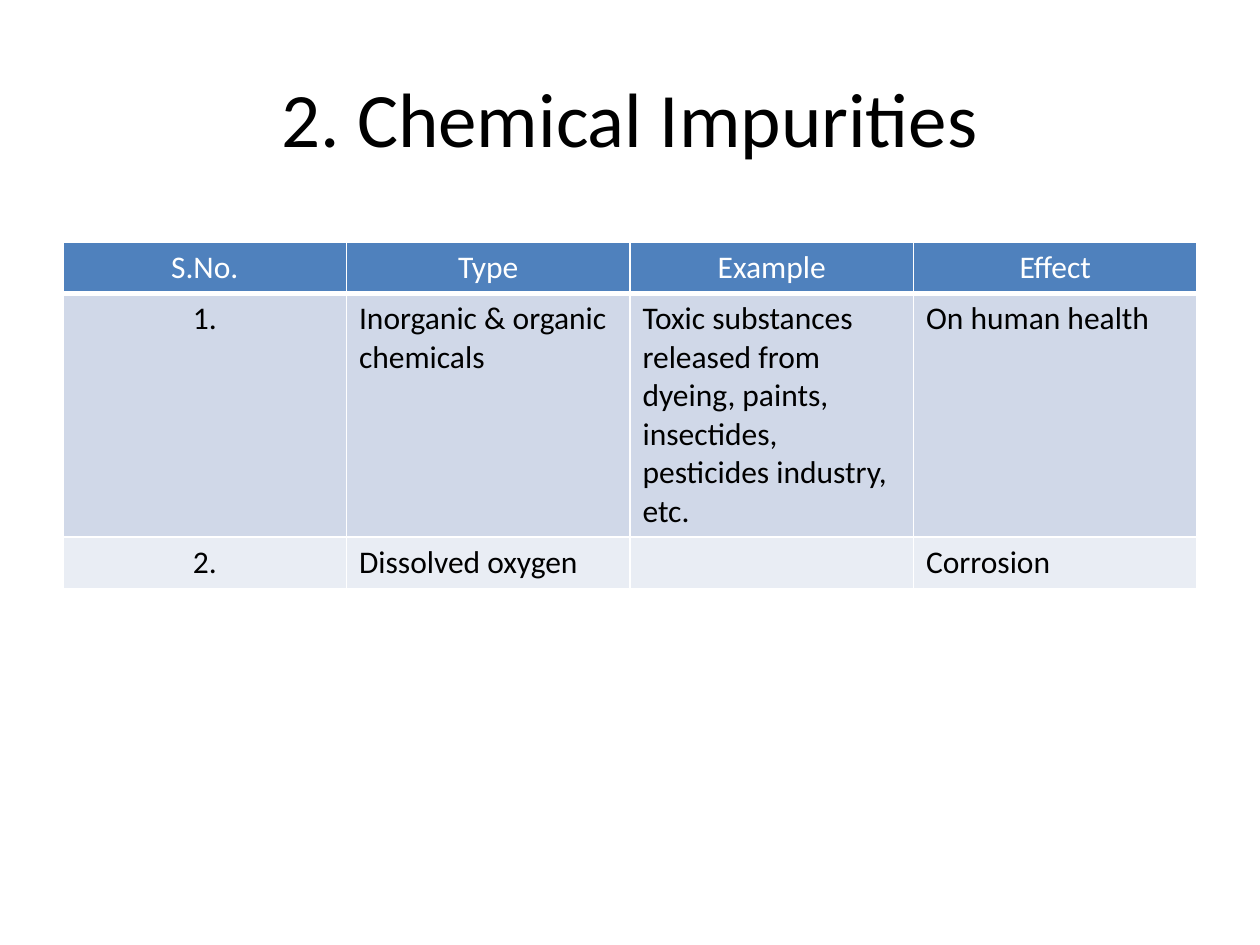
from dataclasses import dataclass

from lxml.etree import SubElement
from pptx import Presentation
from pptx.dml.color import RGBColor
from pptx.enum.text import MSO_ANCHOR, PP_ALIGN
from pptx.oxml.ns import qn
from pptx.util import Inches, Pt

COLORS = {"text": "000000", "white": "FFFFFF", "header": "4F81BD",
          "odd": "D0D8E8", "even": "E9EDF4"}
FONT = "Calibri"


@dataclass
class TableRow:
    texts: tuple[str, ...]
    fill: str
    color: str = "text"
    header: bool = False


ROWS = [
    TableRow(("S.No.", "Type", "Example", "Effect"), "header", "white", True),
    TableRow(("1.", "Inorganic & organic chemicals",
              "Toxic substances released from dyeing, paints, insectides, "
              "pesticides industry, etc.", "On human health"), "odd"),
    TableRow(("2.", "Dissolved oxygen", "", "Corrosion"), "even"),
]


def write(p, text: str, size: float, color: str, align: PP_ALIGN) -> None:
    p.alignment = align
    if not text:
        return
    r = p.add_run()
    r.text = text
    for name, value in {"name": FONT, "size": Pt(size), "bold": False}.items():
        setattr(r.font, name, value)
    r.font.color.rgb = RGBColor.from_string(COLORS[color])


def set_borders(cell, widths: dict[str, float]) -> None:
    tcPr = cell._tc.get_or_add_tcPr()
    for i, (side, width) in enumerate(widths.items()):
        ln = SubElement(tcPr, qn(f"a:{side}"), w=str(Pt(width)))
        fill = SubElement(ln, qn("a:solidFill"))
        SubElement(fill, qn("a:srgbClr"), val=COLORS["white"])
        tcPr.insert(i, ln)  # borders come before the cell fill


def draw_table(s, rows: list[TableRow]) -> None:
    row_h = 0.41
    tbl = s.shapes.add_table(len(rows), len(rows[0].texts), Inches(0.5), Inches(1.92),
                             Inches(9), Inches(row_h * len(rows))).table
    for i, row in enumerate(rows):
        tbl.rows[i].height = Inches(row_h)
        top = 3 if i and rows[i - 1].header else 1
        bottom = 3 if row.header else 1
        for j, text in enumerate(row.texts):
            cell = tbl.cell(i, j)
            cell.fill.solid()
            cell.fill.fore_color.rgb = RGBColor.from_string(COLORS[row.fill])
            set_borders(cell, {"lnL": 1, "lnR": 1, "lnT": top, "lnB": bottom})
            centred = row.header or j == 0
            write(cell.text_frame.paragraphs[0], text, 18, row.color,
                  PP_ALIGN.CENTER if centred else PP_ALIGN.LEFT)


def main() -> None:
    prs = Presentation()
    prs.slide_width, prs.slide_height = Inches(10), Inches(7.5)
    s = prs.slides.add_slide(prs.slide_layouts[5])

    # Title
    title = s.shapes.title
    box = {"left": 0.5, "top": 0.3, "width": 9, "height": 1.25}
    for name, value in box.items():
        setattr(title, name, Inches(value))
    tf = title.text_frame
    tf.vertical_anchor = MSO_ANCHOR.MIDDLE
    write(tf.paragraphs[0], "2. Chemical Impurities", 44, "text", PP_ALIGN.CENTER)

    # Impurities table
    draw_table(s, ROWS)
    prs.save("out.pptx")


if __name__ == "__main__":
    main()
